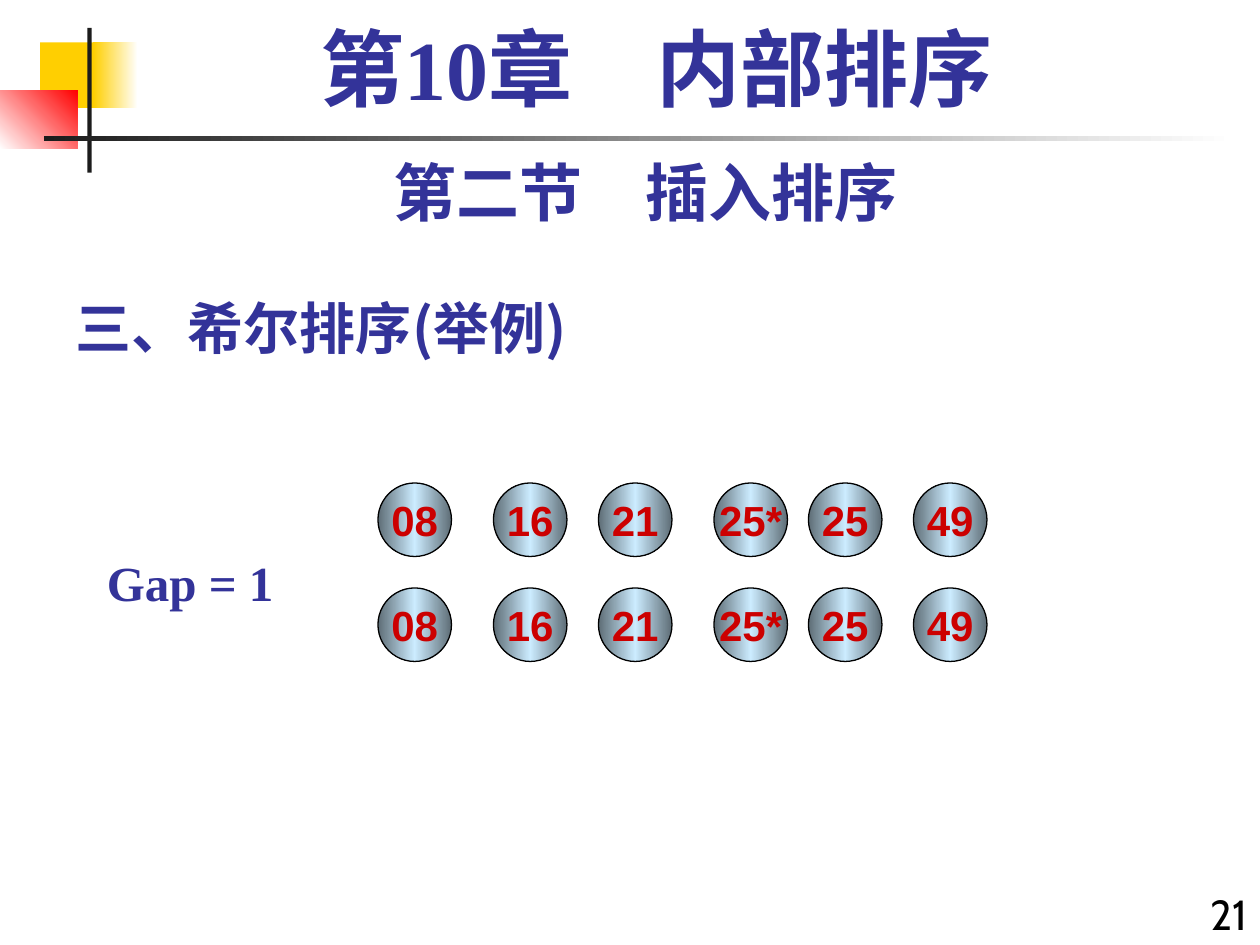
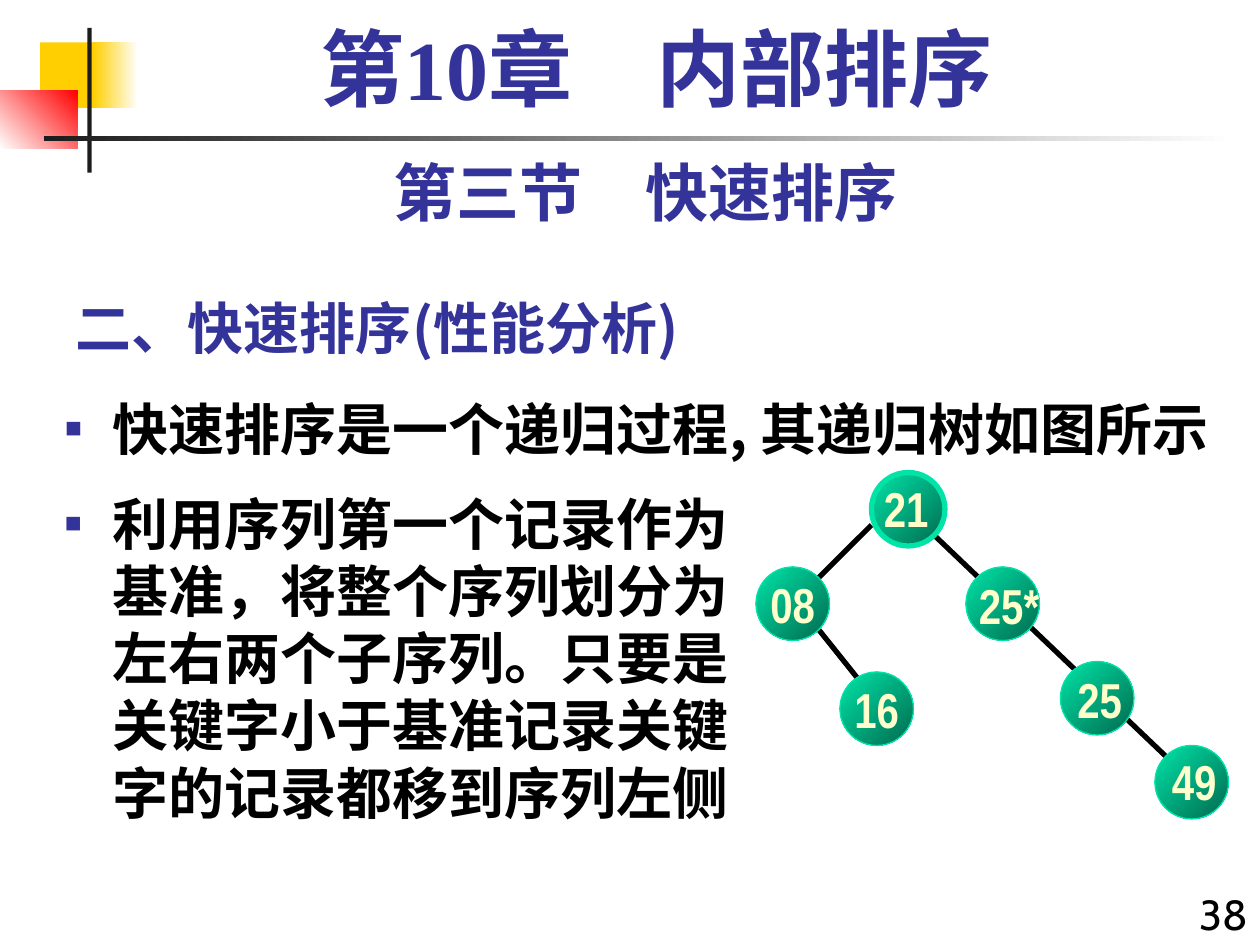
from lxml.etree import SubElement as Sub
from pptx import Presentation
from pptx.dml.color import RGBColor as RGB
from pptx.enum.shapes import MSO_CONNECTOR as Link, MSO_SHAPE as Kind
from pptx.enum.text import MSO_ANCHOR as Anchor, MSO_AUTO_SIZE as Fit, PP_ALIGN as Align
from pptx.oxml.ns import qn
from pptx.util import Pt

NAVY = RGB(0x33, 0x33, 0x99)
BLACK = RGB(0, 0, 0)
WHITE = RGB(255, 255, 255)
INK = RGB(0x1C, 0x1C, 0x1C)
GOLD = RGB(0xFF, 0xCF, 0x01)
RED = RGB(255, 0, 0)
CRIMSON = RGB(0xCC, 0, 0)
STEEL = RGB(0x5E, 0x6D, 0x76)
ICE = RGB(0xCC, 0xEC, 0xFF)
MINT = RGB(0, 0xE4, 0xA8)
PINE = RGB(0, 0x6A, 0x4E)
CREAM = RGB(0xFF, 0xFF, 0xCC)
HAN = "Noto Sans CJK SC"

CHAPTER = "第10章　内部排序"
BANDS = [
    ((23, 24.2, 34.5, 37.5), [GOLD], 0),
    ((53.3, 24.2, 25.5, 37.5), [GOLD, WHITE], 0),
    ((0, 51.6, 44.3, 33.4), [WHITE, RED], 315),
    ((49.9, 15.9, 2.5, 82.8), [INK], 0),
    ((25, 77.8, 680.4, 2.8), [INK, WHITE], 0),
]

SHELL = {"head": "三、希尔排序(举例)", "part": "第二节　插入排序", "page": "21"}
GAP = "Gap = 1"
KEYS = [("08", 216), ("16", 282), ("21", 342), ("25*", 408), ("25", 462), ("49", 522)]
ROWS = [276, 336]

QUICK = {"head": "二、快速排序(性能分析)", "part": "第三节　快速排序", "page": "38"}
POINTS = [
    "快速排序是一个递归过程, 其递归树如图所示",
    "利用序列第一个记录作为基准，将整个序列划分为左右两个子序列。只要是关键字小于基准记录关键字的记录都移到序列左侧",
]
NODES = [
    ("21", 498, 270, 3, -1.2, -0.6), ("08", 432, 324, 0.75, 0, 0),
    ("25*", 552, 324, 0.75, 3.6, 0.6), ("16", 480, 384, 0.75, 0, 0),
    ("25", 606, 378, 0.75, 1.4, 0.6), ("49", 660, 426, 0.75, 1.4, -0.6),
]
EDGES = [(468, 360, 492, 390), (534, 306, 666, 432), (498, 300, 468, 330)]
SIZE = 42
MID = {"align": Align.CENTER, "wrap": False, "anchor": Anchor.MIDDLE}


def place(shape, box):
    shape.left, shape.top, shape.width, shape.height = map(Pt, box)


def paint(shape, tones, angle=0):
    if len(tones) == 1:
        shape.fill.solid()
        shape.fill.fore_color.rgb = tones[0]
        return
    shape.fill.gradient()
    grad = shape._element.spPr.find(qn("a:gradFill"))
    for node in list(grad):
        grad.remove(node)
    stops = Sub(grad, qn("a:gsLst"))
    for i, tone in enumerate(tones):
        stop = Sub(stops, qn("a:gs"), pos=str(i * 100000 // (len(tones) - 1)))
        Sub(stop, qn("a:srgbClr"), val=str(tone))
    Sub(grad, qn("a:lin"), ang=str(angle * 60000), scaled="0")


def style(para, size, face, tone, align=Align.LEFT, bold=True, lead=None):
    para.alignment = align
    para.space_before = Pt(0)
    if lead:
        para.line_spacing = Pt(lead)
    font = para.font
    font.size, font.name, font.bold = Pt(size), face, bold
    font.color.rgb = tone
    props = para._p.pPr.find(qn("a:defRPr"))
    Sub(props, qn("a:ea"), typeface=HAN)


def write(shape, text, *look, wrap=True, anchor=Anchor.TOP, **more):
    frame = shape.text_frame
    frame.word_wrap = wrap
    frame.auto_size = Fit.NONE
    frame.vertical_anchor = anchor
    para = frame.paragraphs[0]
    para.text = text
    style(para, *look, **more)


def label(slide, box, text, *look, **more):
    write(slide.shapes.add_textbox(*map(Pt, box)), text, *look, **more)


def bullet(shape, text):
    props = shape.text_frame.paragraphs[0]._p.get_or_add_pPr()
    props.set("marL", str(Pt(27)))
    props.set("indent", str(Pt(-27)))
    Sub(Sub(props, qn("a:buClr")), qn("a:srgbClr"), val=str(NAVY))
    Sub(props, qn("a:buSzPct"), val="50000")
    Sub(props, qn("a:buFont"), typeface="Arial")
    Sub(props, qn("a:buChar"), char="■")
    write(shape, text, 32, HAN, BLACK, lead=38.4)


def solid(slide, kind, box, tones, angle):
    shape = slide.shapes.add_shape(kind, *map(Pt, box))
    shape.shadow.inherit = False
    paint(shape, tones, angle)
    shape.line.fill.background()
    return shape


def ball(slide, x, y, tones, angle, edge, width):
    shape = solid(slide, Kind.OVAL, (x, y, SIZE, SIZE), tones, angle)
    shape.line.color.rgb = edge
    shape.line.width = Pt(width)
    return shape


def start(deck, layout, data):
    slide = deck.slides.add_slide(deck.slide_layouts[layout])
    for box, tones, angle in BANDS:
        solid(slide, Kind.RECTANGLE, box, tones, angle)
    title = slide.shapes.title
    place(title, (36, 156, 450, 54))
    write(title, data["head"], 32, HAN, NAVY, anchor=Anchor.BOTTOM, lead=38.4)
    label(slide, (672, 504, 48, 36), data["page"], 24, "Cabin", BLACK,
          align=Align.RIGHT, bold=False)
    label(slide, (36, 84, 666, 50.4), data["part"], 36, "Cabin", NAVY,
          align=Align.CENTER, lead=43.2)
    label(slide, (48, 12, 654, 60), CHAPTER, 48, "Times New Roman", NAVY,
          align=Align.CENTER, lead=51.6)
    return slide


def shell(deck):
    slide = start(deck, 5, SHELL)
    label(slide, (54, 312, 109.4, 41), GAP, 28, "Times New Roman", NAVY, wrap=False)
    for y in ROWS:
        for key, x in KEYS:
            shape = ball(slide, x, y, [STEEL, ICE, STEEL], 0, BLACK, 0.75)
            write(shape, key, 24, "Arial", CRIMSON, **MID)


def quick(deck):
    slide = start(deck, 1, QUICK)
    body = slide.placeholders[1]
    place(body, (30, 222, 690, 318))
    bullet(body, POINTS[0])
    bullet(slide.shapes.add_textbox(*map(Pt, (30, 276, 408, 264))), POINTS[1])
    for ends in EDGES:
        edge = slide.shapes.add_connector(Link.STRAIGHT, *map(Pt, ends))
        edge.line.color.rgb = BLACK
        edge.line.width = Pt(3)
        Sub(edge._element.spPr, qn("a:effectLst"))
    for key, x, y, width, dx, dy in NODES:
        ball(slide, x, y, [MINT, PINE], 45, MINT, width)
        label(slide, (x + dx, y + dy, SIZE, SIZE), key, 28, "Arial Narrow", CREAM, **MID)


def main():
    deck = Presentation()
    deck.slide_width, deck.slide_height = Pt(720), Pt(540)
    shell(deck)
    quick(deck)
    deck.save("out.pptx")


if __name__ == "__main__":
    main()
